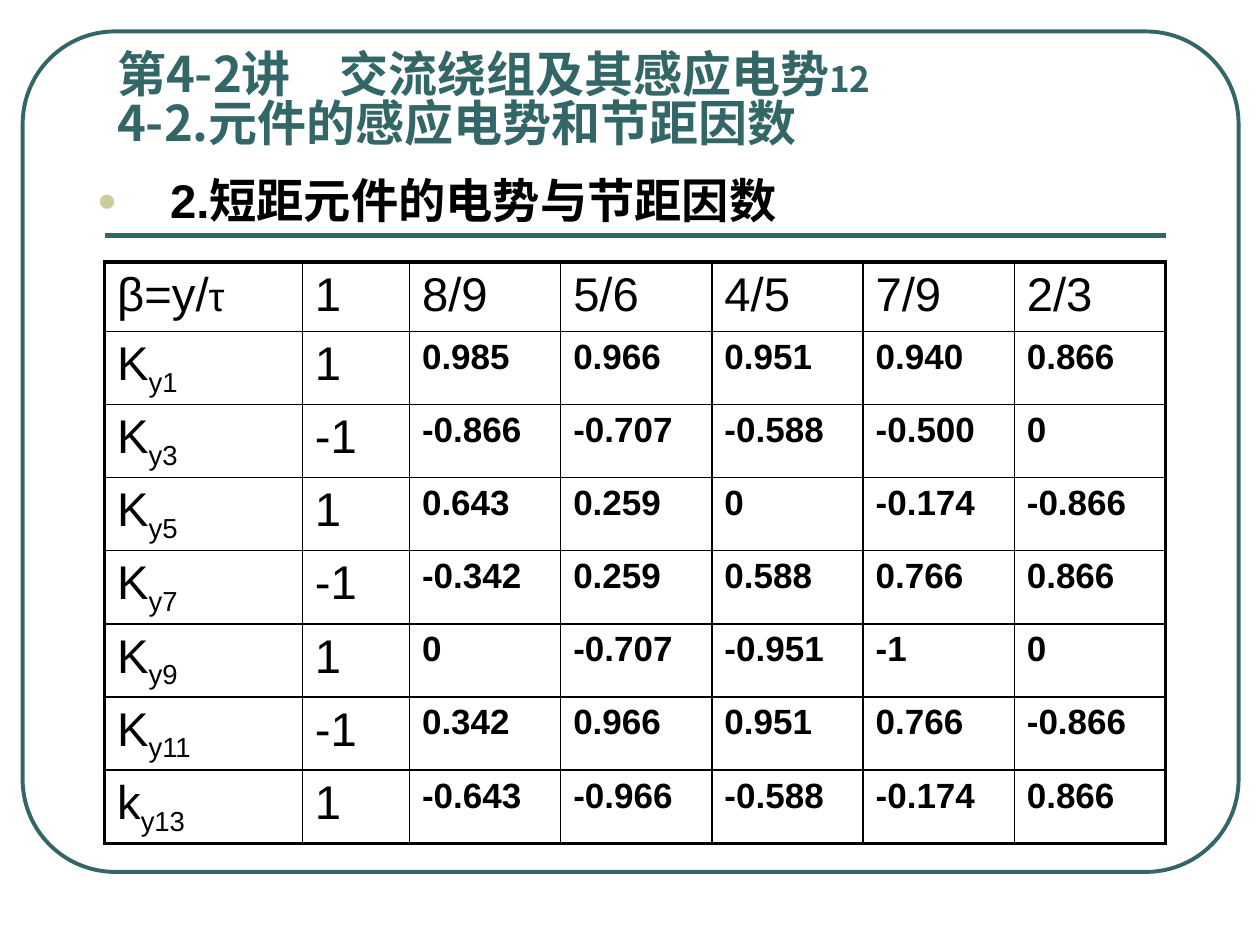
from dataclasses import dataclass

from lxml import etree
from pptx import Presentation
from pptx.dml.color import RGBColor
from pptx.enum.shapes import MSO_CONNECTOR, MSO_SHAPE
from pptx.enum.text import MSO_ANCHOR, MSO_AUTO_SIZE, PP_ALIGN
from pptx.oxml.ns import qn
from pptx.util import Inches, Pt

ROUNDED = MSO_SHAPE.ROUNDED_RECTANGLE
STRAIGHT = MSO_CONNECTOR.STRAIGHT
LEFT, TOP, BOTTOM = PP_ALIGN.LEFT, MSO_ANCHOR.TOP, MSO_ANCHOR.BOTTOM
NO_FIT = MSO_AUTO_SIZE.NONE

# Content
TITLE, PAGE = "第4-2讲\u3000交流绕组及其感应电势", "12"
SUBTITLE = "4-2.元件的感应电势和节距因数"
HEADING = "2.短距元件的电势与节距因数"
RATIOS = ["1", "8/9", "5/6", "4/5", "7/9", "2/3"]
FACTORS = [
    ("K", "y1", ["1", "0.985", "0.966", "0.951", "0.940", "0.866"]),
    ("K", "y3", ["-1", "-0.866", "-0.707", "-0.588", "-0.500", "0"]),
    ("K", "y5", ["1", "0.643", "0.259", "0", "-0.174", "-0.866"]),
    ("K", "y7", ["-1", "-0.342", "0.259", "0.588", "0.766", "0.866"]),
    ("K", "y9", ["1", "0", "-0.707", "-0.951", "-1", "0"]),
    ("K", "y11", ["-1", "0.342", "0.966", "0.951", "0.766", "-0.866"]),
    ("k", "y13", ["1", "-0.643", "-0.966", "-0.588", "-0.174", "0.866"]),
]


@dataclass(frozen=True)
class Theme:
    accent: str = "336666"
    bullet: str = "CCCC99"
    ink: str = "000000"
    latin: str = "Arial"
    chinese: str = "Noto Sans CJK SC"
    title: int = 28
    large: int = 27
    tau: int = 23
    small: int = 20
    outer: float = 2.25
    inner: float = 1
    rule: float = 3


THEME = Theme()

# Layout, in inches
WIDTH, HEIGHT = 10, 7.5
MARGIN, CONTENT = 0.83, 8.42
RULE_Y, TABLE_Y, ROW = 1.87, 2.08, 0.55
COLUMNS = [1.57, 0.85] + [1.2] * 5


def add_text(paragraph, text, size=THEME.large, color=THEME.ink, font=THEME.latin,
             bold=False, baseline=0):
    run = paragraph.add_run()
    run.text = text
    run.font.size, run.font.bold, run.font.name = Pt(size), bold, font
    run.font.color.rgb = RGBColor.from_string(color)
    properties = run.font._element
    etree.SubElement(properties, qn("a:ea"), typeface=THEME.chinese)
    if baseline:
        properties.set("baseline", str(baseline * 1000))


def place(shape, left, top, width, height):
    shape.left, shape.top = Inches(left), Inches(top)
    shape.width, shape.height = Inches(width), Inches(height)


def prepare_frame(shape, anchor):
    frame = shape.text_frame
    frame.word_wrap, frame.auto_size = True, NO_FIT
    frame.vertical_anchor = anchor
    paragraph = frame.paragraphs[0]
    paragraph.alignment, paragraph.space_before = LEFT, Pt(0)
    return paragraph


def set_bullet(paragraph, color, percent, indent):
    properties = paragraph._p.get_or_add_pPr()
    properties.set("marL", str(Inches(indent)))
    properties.set("indent", str(-Inches(indent)))
    fill = etree.SubElement(properties, qn("a:buClr"))
    etree.SubElement(fill, qn("a:srgbClr"), val=color)
    etree.SubElement(properties, qn("a:buSzPct"), val=str(percent * 1000))
    etree.SubElement(properties, qn("a:buFont"), typeface=THEME.latin)
    etree.SubElement(properties, qn("a:buChar"), char="●")


def set_borders(cell, outer_sides):
    properties = cell._tc.get_or_add_tcPr()
    for position, side in enumerate("LRTB"):
        width = THEME.outer if side in outer_sides else THEME.inner
        line = etree.Element(qn("a:ln" + side), w=str(Pt(width)))
        fill = etree.SubElement(line, qn("a:solidFill"))
        etree.SubElement(fill, qn("a:srgbClr"), val=THEME.ink)
        properties.insert(position, line)


def add_frame(slide):
    frame = slide.shapes.add_shape(ROUNDED, Inches(0.18), Inches(0.25),
                                   Inches(9.65), Inches(6.67))
    frame.adjustments[0] = 0.11
    frame.shadow.inherit = False
    frame.fill.background()
    rule = slide.shapes.add_connector(STRAIGHT, Inches(MARGIN), Inches(RULE_Y),
                                      Inches(MARGIN + CONTENT), Inches(RULE_Y))
    etree.SubElement(rule._element.spPr, qn("a:effectLst"))
    for shape, width in ((frame, THEME.outer), (rule, THEME.rule)):
        shape.line.color.rgb = RGBColor.from_string(THEME.accent)
        shape.line.width = Pt(width)


def add_headings(slide):
    title, body = slide.shapes.title, slide.placeholders[1]
    place(title, MARGIN, 0, CONTENT, 1.25)
    paragraph = prepare_frame(title, BOTTOM)
    paragraph.line_spacing = 0.83
    style = dict(color=THEME.accent, font=THEME.chinese, bold=True)
    add_text(paragraph, TITLE, size=THEME.title, **style)
    add_text(paragraph, PAGE, size=THEME.small, **style)
    paragraph.add_line_break()
    add_text(paragraph, SUBTITLE, size=THEME.title, **style)

    place(body, 0.67, 1.31, 5.94, 0.55)
    paragraph = prepare_frame(body, TOP)
    set_bullet(paragraph, THEME.bullet, percent=70, indent=0.58)
    add_text(paragraph, HEADING, bold=True)


def add_factor_table(slide):
    # Each cell is a list of (text, format) runs
    rows = [[[("β=y/", {}), ("τ", {"size": THEME.tau})]]
            + [[(ratio, {})] for ratio in RATIOS]]
    value_format = {"size": THEME.small, "bold": True}
    for letter, subscript, (first, *values) in FACTORS:
        rows.append([[(letter, {}), (subscript, {"baseline": -25})], [(first, {})]]
                    + [[(value, value_format)] for value in values])

    table = slide.shapes.add_table(
        len(rows), len(COLUMNS), Inches(MARGIN), Inches(TABLE_Y),
        Inches(CONTENT), Inches(ROW * len(rows))).table
    table.first_row = table.horz_banding = False
    for column, width in zip(table.columns, COLUMNS):
        column.width = Inches(width)
    for row_index, row in enumerate(rows):
        table.rows[row_index].height = Inches(ROW)
        for column_index, runs in enumerate(row):
            cell = table.cell(row_index, column_index)
            cell.fill.background()
            edges = {"L": column_index == 0, "R": column_index == len(COLUMNS) - 1,
                     "T": row_index == 0, "B": row_index == len(rows) - 1}
            set_borders(cell, [side for side, is_outer in edges.items() if is_outer])
            for text, text_format in runs:
                add_text(cell.text_frame.paragraphs[0], text, **text_format)


def main():
    presentation = Presentation()
    presentation.slide_width, presentation.slide_height = Inches(WIDTH), Inches(HEIGHT)
    slide = presentation.slides.add_slide(presentation.slide_layouts[1])
    add_frame(slide)
    add_headings(slide)
    add_factor_table(slide)
    presentation.save("out.pptx")


if __name__ == "__main__":
    main()
